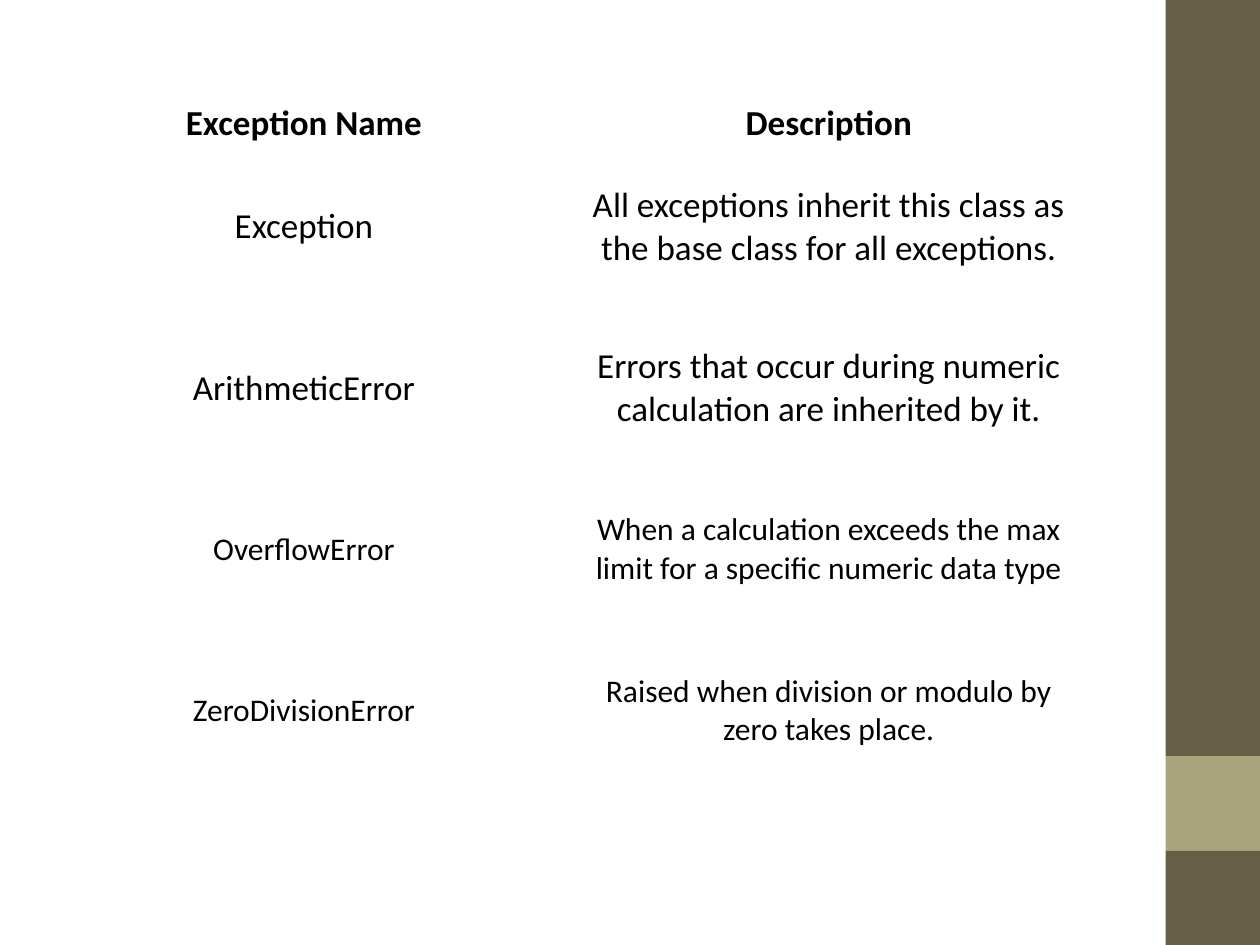
from pptx import Presentation
from pptx import util as u
from pptx.dml.color import RGBColor
from pptx.enum import shapes, text

COLORS = {"panel": "675E46", "band": "A9A47B", "ink": "000000"}
ROWS = [
    ("Exception Name", "Description"),
    ("Exception", "All exceptions inherit this class as the base class for all exceptions."),
    ("ArithmeticError", "Errors that occur during numeric calculation are inherited by it."),
    ("OverflowError", "When a calculation exceeds the max limit for a specific numeric data type"),
    ("ZeroDivisionError", "Raised when division or modulo by zero takes place."),
]


def write(tf, words, size=20, bold=False, color="ink"):
    """Put one centred paragraph into a text frame."""
    p = tf.paragraphs[0]
    p.alignment = text.PP_ALIGN.CENTER
    r = p.add_run()
    r.text = words
    r.font.name = "Calibri"
    r.font.size = u.Pt(size)
    r.font.bold = bold
    r.font.color.rgb = RGBColor.from_string(COLORS[color])


def paint(sp, color):
    """Give a shape a flat fill without line or shadow."""
    sp.shadow.inherit = False
    sp.fill.solid()
    sp.fill.fore_color.rgb = RGBColor.from_string(COLORS[color])
    sp.line.fill.background()


def add_side_panel(s, left, top, width, height, band_top, band_height):
    """Draw the two-part side panel and the band in its gap."""
    right, bottom = left + width, top + height
    band_bottom = band_top + band_height
    builder = s.shapes.build_freeform(left, top)
    builder.add_line_segments([(right, top), (right, band_top), (left, band_top)])
    builder.move_to(left, band_bottom)
    builder.add_line_segments([(right, band_bottom), (right, bottom), (left, bottom)])
    paint(builder.convert_to_shape(), "panel")
    band = s.shapes.add_shape(
        shapes.MSO_SHAPE.RECTANGLE, left, band_top, width, band_height)
    paint(band, "band")


def add_exception_table(s, left, top, width, header_height, row_height):
    """Place the table of exception names and descriptions."""
    height = header_height + row_height * (len(ROWS) - 1)
    table = s.shapes.add_table(len(ROWS), 2, left, top, width, height).table
    table.first_row = table.horz_banding = False
    for i, row in enumerate(ROWS):
        table.rows[i].height = row_height if i else header_height
        for j, words in enumerate(row):
            cell = table.cell(i, j)
            cell.fill.background()
            cell.vertical_anchor = text.MSO_ANCHOR.MIDDLE
            if i < 3:
                cell.margin_left = cell.margin_right = u.Inches(0.02)
                cell.margin_top = cell.margin_bottom = u.Inches(0.01)
            write(cell.text_frame, words, size=20 if i < 3 else 18, bold=i == 0)


def main():
    """Build and save the slide."""
    prs = Presentation()
    prs.slide_width, prs.slide_height = u.Inches(10), u.Inches(7.5)
    s = prs.slides.add_slide(prs.slide_layouts[6])
    add_side_panel(s, u.Inches(9.25), u.Inches(0), u.Inches(0.75), u.Inches(7.5),
                   band_top=u.Inches(6), band_height=u.Inches(0.75))
    add_exception_table(s, u.Inches(0.33), u.Inches(0.8), u.Inches(8.33),
                        header_height=u.Inches(0.36), row_height=u.Inches(1.28))
    prs.save("out.pptx")


if __name__ == "__main__":
    main()
